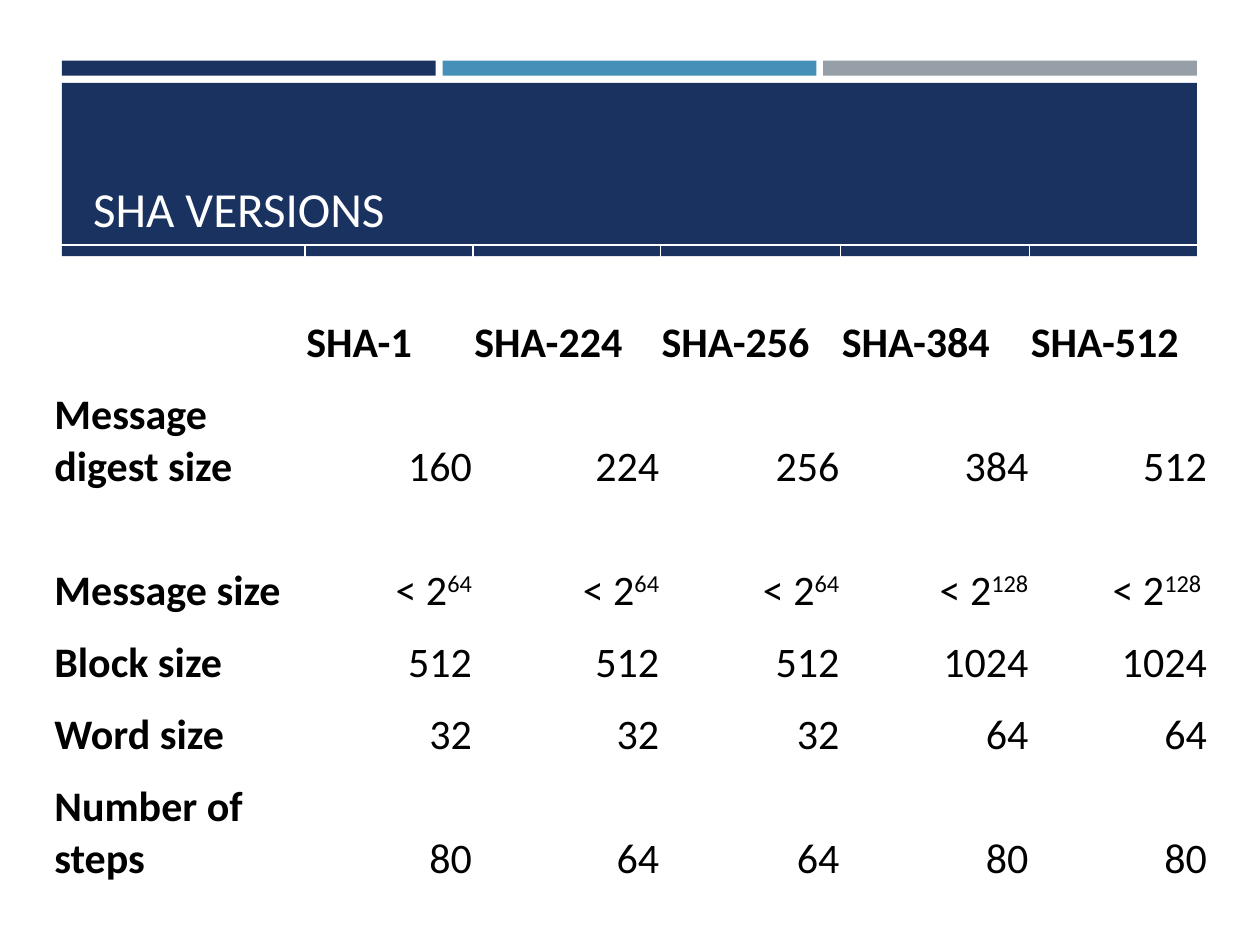
from pptx import Presentation, util as u
from pptx.dml import color
from pptx.enum import shapes, text

COLORS = {"navy": "1A3260", "blue": "4590B8", "grey": "969FA7",
          "white": "FFFFFF", "black": "000000"}


class SlideBuilder:
    font = "Calibri"

    def __init__(self, deck):
        self.page = deck.slides.add_slide(deck.slide_layouts[5])

    def rgb(self, name):
        return color.RGBColor.from_string(COLORS[name])

    def place(self, box, left, top, width, height):
        frame = {"left": left, "top": top, "width": width, "height": height}
        for name, value in frame.items():
            setattr(box, name, u.Pt(value))

    def add_span(self, para, content, size, ink, bold=False, raised=False):
        span = para.add_run()
        span.text = content
        style = {"name": self.font, "size": u.Pt(size), "bold": bold}
        for name, value in style.items():
            setattr(span.font, name, value)
        span.font.color.rgb = self.rgb(ink)
        if raised:
            span._r.get_or_add_rPr().set("baseline", "30000")

    def bar(self, left, top, width, height, fill):
        box = self.page.shapes.add_shape(
            shapes.MSO_SHAPE.RECTANGLE, *map(u.Pt, (left, top, width, height)))
        box.shadow.inherit = False
        box.fill.solid()
        box.fill.fore_color.rgb = self.rgb(fill)
        box.line.fill.background()

    def title(self, content, *place):
        box = self.page.shapes.title
        self.place(box, *place)
        layout = {"vertical_anchor": text.MSO_ANCHOR.BOTTOM, "word_wrap": True,
                  "auto_size": text.MSO_AUTO_SIZE.NONE}
        for name, value in layout.items():
            setattr(box.text_frame, name, value)
        para = box.text_frame.paragraphs[0]
        para.alignment = text.PP_ALIGN.LEFT
        self.add_span(para, content, 28, "white")
        # Bring the title in front of its band
        box.element.getparent().append(box.element)

    def cell(self, cell, content, heading):
        cell.fill.background()
        layout = {"vertical_anchor": text.MSO_ANCHOR.BOTTOM,
                  "margin_left": u.Pt(0.72), "margin_right": u.Pt(0.72),
                  "margin_top": u.Pt(0.72), "margin_bottom": 0}
        for name, value in layout.items():
            setattr(cell, name, value)
        if not content:
            return
        para = cell.text_frame.paragraphs[0]
        para.alignment = text.PP_ALIGN.LEFT if heading else text.PP_ALIGN.RIGHT
        base, _, power = content.partition("^")
        self.add_span(para, base, 24, "black", bold=heading)
        if power:
            self.add_span(para, power, 24, "black", raised=True)

    def table(self, left, top, widths, heights, rows):
        grid = self.page.shapes.add_table(
            len(rows), len(widths), u.Pt(left), u.Pt(top),
            u.Pt(sum(widths)), u.Pt(sum(heights))).table
        grid.first_row = grid.horz_banding = False
        for column, width in zip(grid.columns, widths):
            column.width = u.Pt(width)
        for row, height in zip(grid.rows, heights):
            row.height = u.Pt(height)
        for r, row in enumerate(rows):
            for c, content in enumerate(row):
                self.cell(grid.cell(r, c), content, heading=r == 0 or c == 0)


deck = Presentation()
deck.slide_width, deck.slide_height = u.Pt(720), u.Pt(540)
slide = SlideBuilder(deck)

# Three accent bars above the title band
BAND_LEFT, BAND_WIDTH, GAP = 35.4, 648.6, 3.9
bar_width = (BAND_WIDTH - 2 * GAP) / 3
for i, fill in enumerate(("navy", "blue", "grey")):
    slide.bar(BAND_LEFT + i * (bar_width + GAP), 34.7, bar_width, 8.5, fill)

# Title band
slide.bar(BAND_LEFT, 47.3, BAND_WIDTH, 99, "navy")
slide.title("SHA VERSIONS", 46, 54, 629.3, 85)

# Comparison of the versions
slide.table(30.4, 139.9, (144, 96, 107, 103, 108, 102),
            (70.8, 70.8, 70.8, 41.2, 41.2, 70.8), (
    ("", "SHA-1", "SHA-224", "SHA-256", "SHA-384", "SHA-512 "),
    ("Message digest size", "160", "224", "256", "384", "512"),
    ("Message size", "< 2^64", "< 2^64", "< 2^64", "< 2^128", "< 2^128 "),
    ("Block size", "512", "512", "512", "1024", "1024"),
    ("Word size", "32", "32", "32", "64", "64"),
    ("Number of steps", "80", "64", "64", "80", "80"),
))

deck.save("out.pptx")
